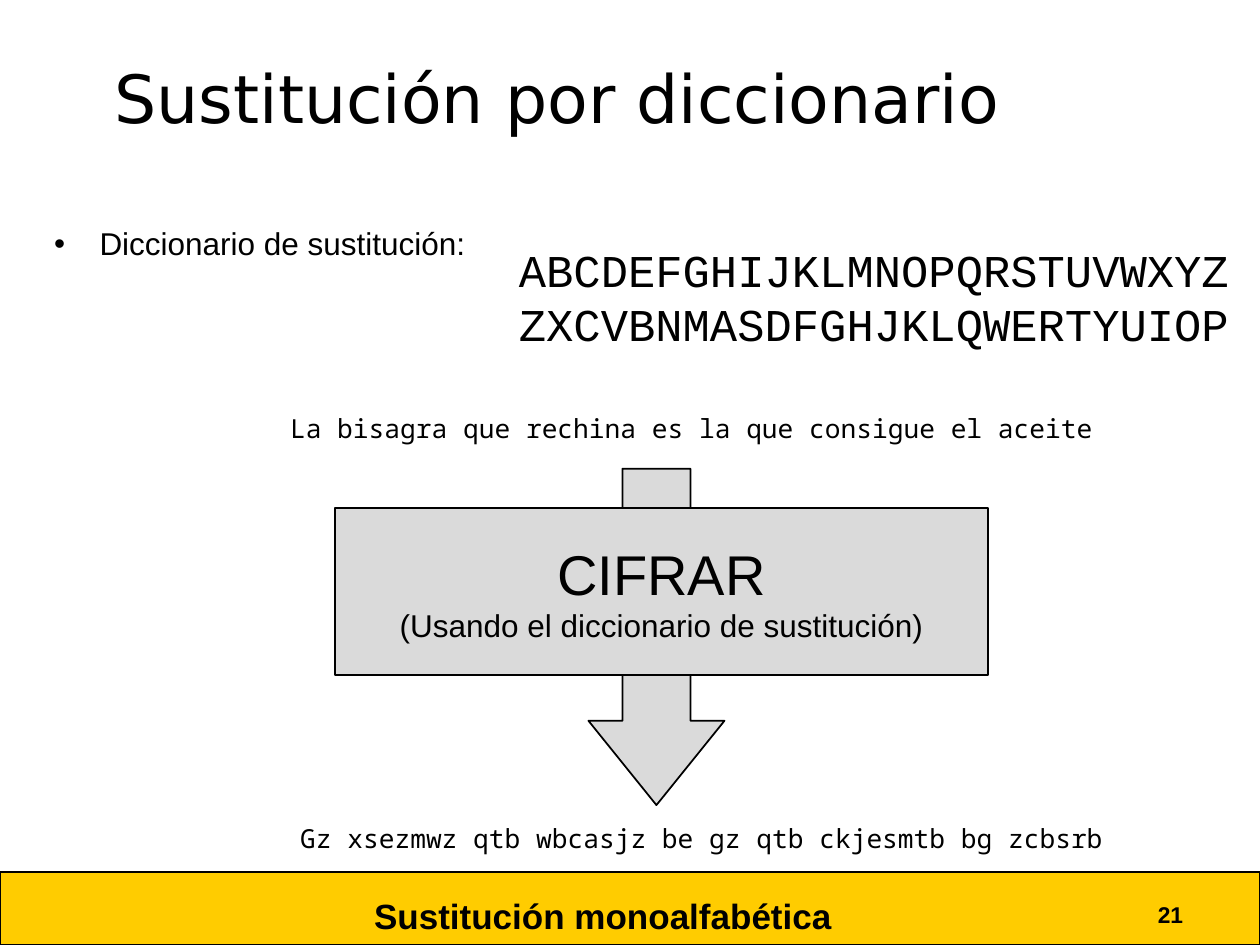
from dataclasses import dataclass

from lxml.etree import SubElement
from pptx import Presentation
from pptx.dml.color import RGBColor
from pptx.enum.shapes import MSO_SHAPE as Shape
from pptx.enum.text import MSO_ANCHOR as Anchor, MSO_AUTO_SIZE as AutoSize, PP_ALIGN as Align
from pptx.oxml.ns import qn
from pptx.util import Inches, Pt

COLUMNS, ROWS = 100, 75


@dataclass(frozen=True)
class Theme:
    """Colours, fonts and type sizes of the slide."""
    ink: RGBColor = RGBColor(0, 0, 0)
    band: RGBColor = RGBColor(0xFF, 0xCC, 0x00)
    panel: RGBColor = RGBColor(0xDA, 0xDA, 0xDA)
    title_font: str = "DejaVu Sans"
    body_font: str = "Arial"
    table_font: str = "Courier New"
    cipher_font: str = "Noto Sans Mono"
    title: int = 38
    heading: int = 32
    alphabet: int = 26
    footer: int = 20
    body: int = 18
    message: int = 15
    number: int = 13


THEME = Theme()


def grid(deck, left, top, width, height):
    """Turn grid columns and rows into slide lengths."""
    column, row = deck.slide_width / COLUMNS, deck.slide_height / ROWS
    return [round(n * unit) for n, unit in zip((left, top, width, height), (column, row) * 2)]


def place(shape, area):
    """Move and size a shape."""
    shape.left, shape.top, shape.width, shape.height = area


def write(box, text, sizes, font, align=Align.LEFT, anchor=Anchor.TOP, bold=False):
    """Write text and format it, with one size for each paragraph."""
    frame = box.text_frame
    frame.text = text
    frame.word_wrap = True
    frame.auto_size = AutoSize.NONE
    frame.vertical_anchor = anchor
    for para, size in zip(frame.paragraphs, sizes):
        para.alignment = align
        for span in para.runs:
            span.font.name = font
            span.font.size = Pt(size)
            span.font.bold = bold
            span.font.color.rgb = THEME.ink
    return frame


def add_text(page, area, text, sizes, font, **style):
    """Add a text box."""
    return write(page.shapes.add_textbox(*area), text, sizes, font, **style)


def add_panel(page, kind, area, fill, line_width):
    """Add a filled and outlined preset shape."""
    panel = page.shapes.add_shape(kind, *area)
    panel.shadow.inherit = False
    panel.fill.solid()
    panel.fill.fore_color.rgb = fill
    panel.line.color.rgb = THEME.ink
    panel.line.width = Pt(line_width)
    return panel


def set_bullet(para, indent):
    """Give a paragraph a hanging bullet."""
    props = para._p.get_or_add_pPr()
    props.set("marL", str(Inches(indent)))
    props.set("indent", str(-Inches(indent)))
    SubElement(props, qn("a:buChar")).set("char", "•")


def add_footer(deck, page):
    """Add the footer band with its section name and page number."""
    add_panel(page, Shape.RECTANGLE, grid(deck, 0, 69.2, 100, 5.8), THEME.band, 0.75)
    add_text(page, grid(deck, 90.9, 71, 9.1, 3), "21", [THEME.number], THEME.body_font, bold=True)
    section = add_text(page, grid(deck, 28.7, 67.2, 57.9, 7.6), "Sustitución monoalfabética",
                       [THEME.footer], THEME.body_font, bold=True)
    section.paragraphs[0].line_spacing = Pt(47.6)


def add_heading(deck, page):
    """Fill the title and list placeholders."""
    title, body = page.shapes.title, page.placeholders[1]
    place(title, grid(deck, 8.1, 1.6, 92.1, 9.8))
    write(title, "Sustitución por diccionario", [THEME.title], THEME.title_font, anchor=Anchor.BOTTOM)
    place(body, grid(deck, 3.3, 15.8, 39.4, 16))
    para = write(body, "Diccionario de sustitución:", [THEME.body], THEME.body_font).paragraphs[0]
    para.line_spacing = 1.5
    para.space_before = Pt(0)
    set_bullet(para, 0.36)


def add_cipher(deck, page):
    """Add the alphabets, both messages and the encryption step."""
    add_text(page, grid(deck, 40.2, 18.7, 65.6, 9.2),
             "ABCDEFGHIJKLMNOPQRSTUVWXYZ\nZXCVBNMASDFGHJKLQWERTYUIOP",
             [THEME.alphabet] * 2, THEME.table_font)
    messages = (
        (7.1, 32.2, "La bisagra que rechina es la que consigue el aceite"),
        (7.9, 64.8, "Gz xsezmwz qtb wbcasjz be gz qtb ckjesmtb bg zcbsrb"),
    )
    for left, top, text in messages:
        add_text(page, grid(deck, left, top, 95.6, 3.8), text, [THEME.message],
                 THEME.cipher_font, align=Align.CENTER)
    arrow = add_panel(page, Shape.DOWN_ARROW, grid(deck, 46.7, 37.2, 10.8, 26.7), THEME.panel, 1)
    arrow.adjustments[0], arrow.adjustments[1] = 0.5, 0.62
    step = add_panel(page, Shape.RECTANGLE, grid(deck, 26.6, 40.3, 51.8, 13.3), THEME.panel, 1)
    write(step, "CIFRAR\n(Usando el diccionario de sustitución)", [THEME.heading, THEME.body],
          THEME.body_font, align=Align.CENTER, anchor=Anchor.MIDDLE)


def main():
    """Build and save the slide."""
    deck = Presentation()
    deck.slide_width, deck.slide_height = Inches(10), Inches(7.5)
    page = deck.slides.add_slide(deck.slide_layouts[1])
    add_heading(deck, page)
    add_cipher(deck, page)
    add_footer(deck, page)
    deck.save("out.pptx")


if __name__ == "__main__":
    main()
